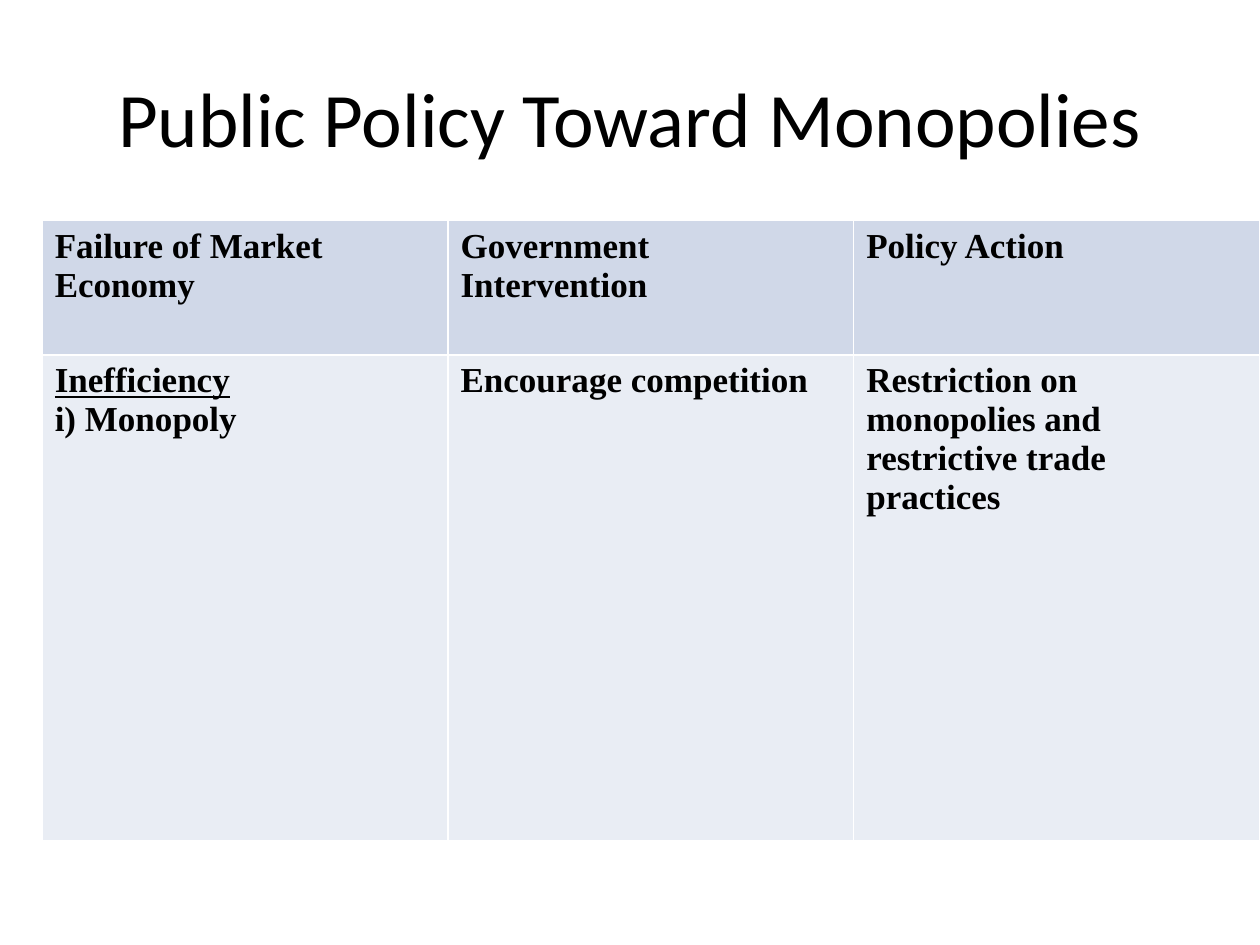
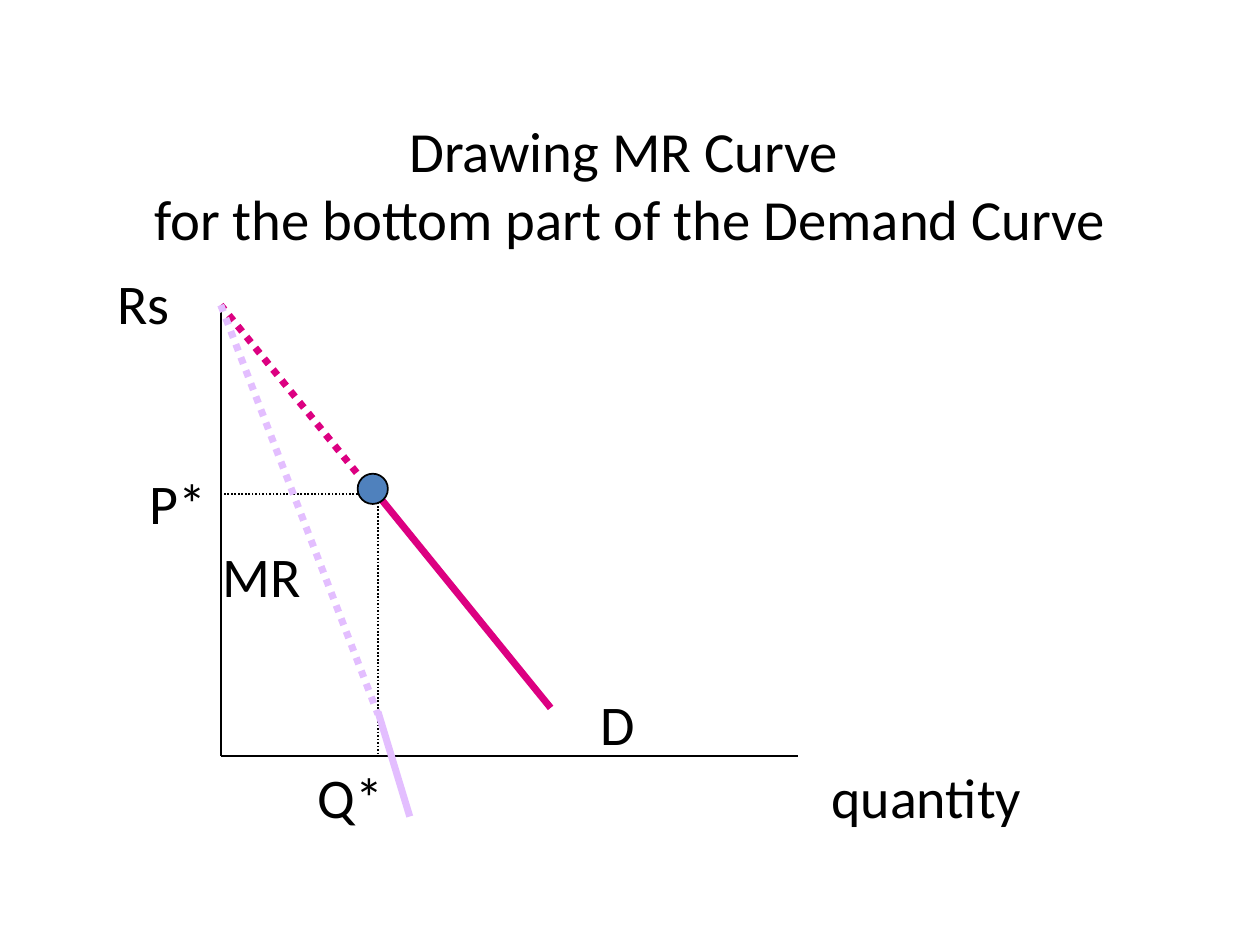
import dataclasses

import pptx
import pptx.dml.color
import pptx.enum.dml
import pptx.enum.shapes
import pptx.enum.text
import pptx.oxml
import pptx.oxml.ns
import pptx.util

Cm = pptx.util.Cm
Pt = pptx.util.Pt
RGB = pptx.dml.color.RGBColor.from_string


@dataclasses.dataclass(frozen=True)
class Theme:
    ink: RGB = RGB("000000")
    header: RGB = RGB("D0D8E8")
    body: RGB = RGB("E9EDF4")
    demand: RGB = RGB("DC0081")
    revenue: RGB = RGB("E3BEFF")
    point: RGB = RGB("4F81BD")
    border: str = "FFFFFF"
    sans: str = "Calibri"
    serif: str = "Times New Roman"
    title_size: float = 44
    long_title_size: float = 32.4
    label_size: float = 32
    table_size: float = 20


theme = Theme()


def format_font(font, **values):
    font.color.rgb = theme.ink
    for name, value in values.items():
        setattr(font, name, value)


def add_titled_page(deck, text, top, size):
    page = deck.slides.add_slide(deck.slide_layouts[5])
    title = page.shapes.title
    place = {"left": Cm(1.27), "top": Cm(top), "width": Cm(22.86), "height": Cm(3.18)}
    for name, value in place.items():
        setattr(title, name, value)
    title.text_frame.text = text
    title.text_frame.vertical_anchor = pptx.enum.text.MSO_ANCHOR.MIDDLE
    for para in title.text_frame.paragraphs:
        para.alignment = pptx.enum.text.PP_ALIGN.CENTER
        for span in para.runs:
            format_font(span.font, name=theme.sans, size=Pt(size))
    return page


deck = pptx.Presentation()
deck.slide_width, deck.slide_height = Cm(25.4), Cm(19.05)

# Slide 1: policy table
page = add_titled_page(deck, "Public Policy Toward Monopolies", 0.76, theme.title_size)
rows = [
    ["Failure of Market Economy", "Government Intervention", "Policy Action"],
    ["Inefficiency\ni) Monopoly", "Encourage competition",
     "Restriction on monopolies and restrictive trade practices"],
]
row_heights = [2.71, 9.78]
column_width = 8.18
table = page.shapes.add_table(
    2, 3, Cm(0.85), Cm(4.45), Cm(3 * column_width), Cm(sum(row_heights))).table
for column in table.columns:
    column.width = Cm(column_width)
for row, height in zip(table.rows, row_heights):
    row.height = Cm(height)

for row, texts, fill in zip(table.rows, rows, [theme.header, theme.body]):
    for cell, text in zip(row.cells, texts):
        properties = cell._tc.get_or_add_tcPr()
        for side in ["lnL", "lnR", "lnT", "lnB"]:
            properties.append(pptx.oxml.parse_xml(
                f'<a:{side} {pptx.oxml.ns.nsdecls("a")} w="12700"><a:solidFill>'
                f'<a:srgbClr val="{theme.border}"/></a:solidFill></a:{side}>'))
        cell.fill.solid()
        cell.fill.fore_color.rgb = fill
        cell.text_frame.text = text
        for para in cell.text_frame.paragraphs:
            for span in para.runs:
                format_font(span.font, name=theme.serif, size=Pt(theme.table_size),
                            bold=True, underline=span.text == "Inefficiency")

# Slide 2: marginal revenue diagram
page = add_titled_page(
    deck, "Drawing MR Curve \vfor the bottom part of the Demand Curve",
    2.11, theme.long_title_size)
origin_x, origin_y = 4.45, 15.24
intercept_y = 6.15
quantity_x, price_y = 7.62, 9.96

# Axes, guides and curves: start x, start y, end x, end y, colour, width, dotted
lines = [
    (quantity_x, 10.13, quantity_x, origin_y, theme.ink, 1, True),
    (origin_x, intercept_y, origin_x, origin_y, theme.ink, 1, False),
    (origin_x, origin_y, 16.08, origin_y, theme.ink, 1, False),
    (7.52, 9.86, 11.1, 14.27, theme.demand, 4, False),
    (7.42, price_y, origin_x, price_y, theme.ink, 1, True),
    (7.19, 9.53, origin_x, intercept_y, theme.demand, 4, True),
    (origin_x, intercept_y, quantity_x, 14.4, theme.revenue, 4, True),
    (quantity_x, 14.35, 8.26, 16.46, theme.revenue, 4, False),
]
for *ends, colour, width, dotted in lines:
    connector = page.shapes.add_connector(
        pptx.enum.shapes.MSO_CONNECTOR.STRAIGHT, *[Cm(value) for value in ends])
    connector.line.color.rgb = colour
    connector.line.width = Pt(width)
    if dotted:
        # ROUND_DOT is written as sysDot
        connector.line.dash_style = pptx.enum.dml.MSO_LINE.ROUND_DOT
    connector._element.spPr.append(
        pptx.oxml.parse_xml(f'<a:effectLst {pptx.oxml.ns.nsdecls("a")}/>'))

# Chosen point on the demand curve
point = page.shapes.add_shape(
    pptx.enum.shapes.MSO_SHAPE.OVAL, Cm(7.21), Cm(9.55), Cm(0.61), Cm(0.61))
point.shadow.inherit = False
point.fill.solid()
point.fill.fore_color.rgb = theme.point
point.line.color.rgb = theme.ink
point.line.width = Pt(1)

# Labels: text, left, top, width
labels = [
    ("quantity", 16.51, 15.24, 4.47),
    ("D", 11.86, 13.77, 1.3),
    ("MR", 4.24, 10.8, 3.4),
    ("P*", 2.77, 9.32, 1.93),
    ("Q*", 6.15, 15.24, 2.13),
    ("Rs", 2.11, 5.28, 2.16),
]
for text, left, top, width in labels:
    box = page.shapes.add_textbox(Cm(left), Cm(top), Cm(width), Cm(1.6))
    box.text_frame.word_wrap = True
    box.text_frame.auto_size = pptx.enum.text.MSO_AUTO_SIZE.SHAPE_TO_FIT_TEXT
    span = box.text_frame.paragraphs[0].add_run()
    span.text = text
    format_font(span.font, name=theme.sans, size=Pt(theme.label_size))

deck.save("out.pptx")
